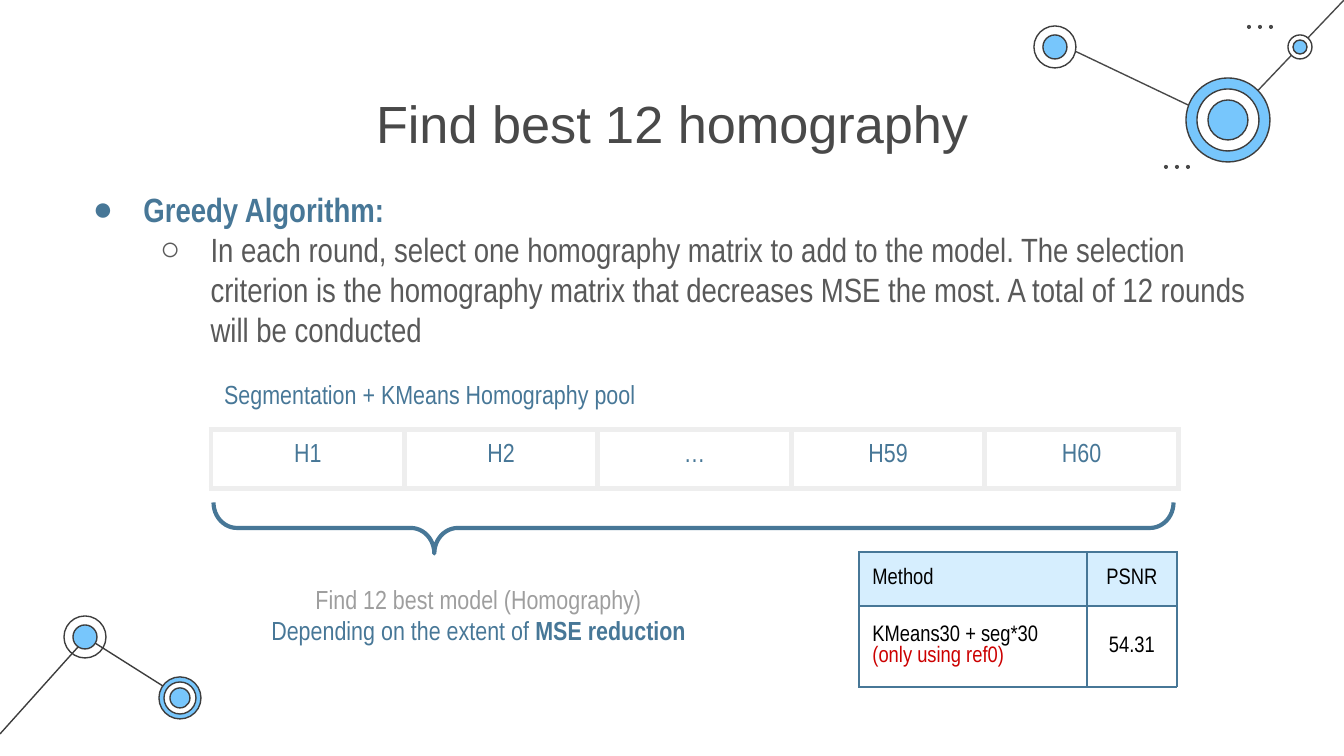
from lxml.etree import SubElement
from pptx import Presentation
from pptx.dml.color import RGBColor
from pptx.enum.shapes import MSO_CONNECTOR, MSO_SHAPE
from pptx.enum.text import MSO_ANCHOR, PP_ALIGN
from pptx.oxml import parse_xml
from pptx.oxml.ns import nsdecls, qn
from pptx.util import Pt

PX = 914400 / 134.4
PAD = round(13.44 * PX)
HUES = {
    "sky": "77C6FC", "white": "FFFFFF", "ink": "3D3D3D", "dark": "494949",
    "blue": "477797", "body": "595959", "gray": "9E9E9E", "pale": "D6EEFE",
    "edge": "EEEEEE", "black": "000000", "red": "CC0000",
}
RGB = {name: RGBColor.from_string(code) for name, code in HUES.items()}
LEFT, MID = PP_ALIGN.LEFT, PP_ALIGN.CENTER


def write(par, text, hue, size, align=LEFT, bold=False, face="Arial Narrow"):
    par.add_run().text = text
    par.alignment = align
    font = par.font
    font.name, font.size, font.bold = face, Pt(size), bold
    font.color.rgb = RGB[hue]


def grid(x, y, cols, rows, hue, width):
    """Add an unstyled table with padded cells and even borders."""
    frame = slide.shapes.add_table(
        len(rows), len(cols), *[round(n * PX) for n in (x, y, sum(cols), sum(rows))])
    table = frame.table
    table.first_row = table.horz_banding = False
    for col, size in zip(table.columns, cols):
        col.width = round(size * PX)
    for row, size in zip(table.rows, rows):
        row.height = round(size * PX)
    for cell in table.iter_cells():
        cell.margin_left = cell.margin_right = PAD
        cell.margin_top = cell.margin_bottom = PAD
        cell.fill.background()
        props = cell._tc.get_or_add_tcPr()
        for spot, side in enumerate(("lnL", "lnR", "lnT", "lnB")):
            props.insert(spot, parse_xml(
                f'<a:{side} {nsdecls("a")} w="{Pt(width)}"><a:solidFill>'
                f'<a:srgbClr val="{HUES[hue]}"/></a:solidFill></a:{side}>'))
    return table


deck = Presentation()
deck.slide_width, deck.slide_height = round(1344 * PX), round(756 * PX)
slide = deck.slides.add_slide(deck.slide_layouts[6])

# Network links
for hue, *ends in [
    ("ink", 87, 638, 185, 700), ("ink", 0, 734, 87, 637),
    ("dark", 1228, 124, 1058, 43), ("dark", 1344, 0, 1228, 122),
]:
    link = slide.shapes.add_connector(
        MSO_CONNECTOR.STRAIGHT, *[round(n * PX) for n in ends])
    link.line.color.rgb = RGB[hue]
    link.line.width = Pt(0.75)
    SubElement(link._element.spPr, qn("a:effectLst"))

# Network nodes, each a set of rings from the outside in, then the dots
discs = []
for x, y, rings in [
    (85, 637, [(21, None), (12, "sky")]),
    (180, 698, [(21, "sky"), (16, "white"), (10, "sky")]),
    (1228, 120, [(42, "sky"), (31, "white"), (20, "sky")]),
    (1055, 47, [(21, "white"), (12, "sky")]),
    (1300, 47, [(12, "white"), (7, "sky")]),
]:
    discs += [(x, y, r, hue, True) for r, hue in rings]
for x, y in [(1249, 27), (1166, 167)]:
    discs += [(x + 11 * i, y, 2, "dark", False) for i in range(3)]
for x, y, r, hue, ring in discs:
    disc = slide.shapes.add_shape(
        MSO_SHAPE.OVAL, *[round(n * PX) for n in (x - r, y - r, 2 * r, 2 * r)])
    disc.shadow.inherit = False
    if hue:
        disc.fill.solid()
        disc.fill.fore_color.rgb = RGB[hue]
    else:
        disc.fill.background()
    if ring:
        disc.line.color.rgb = RGB["ink"]
        disc.line.width = Pt(0.75)
    else:
        disc.line.fill.background()

# Text boxes
frames = []
for spot in [(106, 78, 1132, 85), (63, 175, 1206, 190),
             (211, 365, 556, 59), (211, 570, 535, 90)]:
    frame = slide.shapes.add_textbox(*[round(n * PX) for n in spot]).text_frame
    frame.word_wrap = True
    frame.margin_left = frame.margin_right = PAD
    frame.margin_top = frame.margin_bottom = PAD
    frames.append(frame)
title, body, pool, note = frames

write(title.paragraphs[0], "Find best 12 homography", "dark", 28, MID, face="Arial")
write(pool.paragraphs[0], "Segmentation + KMeans Homography pool", "blue", 14)

points = [
    ("●", "blue", True, "Greedy Algorithm:"),
    ("○", "body", False,
     "In each round, select one homography matrix to add to the model. "
     "The selection criterion is the homography matrix that decreases MSE "
     "the most. A total of 12 rounds will be conducted"),
]
for level, (mark, hue, bold, text) in enumerate(points):
    par = body.add_paragraph() if level else body.paragraphs[0]
    par.level = level
    props = par._p.get_or_add_pPr()
    props.set("marL", str(457200 * (level + 1)))
    props.set("indent", "-342900")
    tint = SubElement(props, qn("a:buClr"))
    SubElement(tint, qn("a:srgbClr"), val=HUES[hue])
    SubElement(props, qn("a:buFont"), typeface="Arial")
    SubElement(props, qn("a:buChar"), char=mark)
    write(par, text, hue, 18, bold=bold)

par = note.paragraphs[0]
write(par, "Find 12 best model (Homography)", "gray", 14, MID)
par.add_line_break()
for text, bold in [("Depending on the extent of ", False), ("MSE reduction", True)]:
    run = par.add_run()
    run.text = text
    run.font.bold = bold
    run.font.color.rgb = RGB["blue"]

# Homography pool
names = ["H1", "H2", "…", "H59", "H60"]
table = grid(211, 430, [193.5] * len(names), [57], "edge", 3)
for cell, name in zip(table.iter_cells(), names):
    write(cell.text_frame.paragraphs[0], name, "blue", 14, MID)

brace = slide.shapes.add_shape(
    MSO_SHAPE.LEFT_BRACE, *[round(n * PX) for n in (668, 48, 51, 960)])
brace.rotation = 270
brace.adjustments[0], brace.adjustments[1] = 0.46, 0.23
brace.shadow.inherit = False
brace.fill.background()
brace.line.color.rgb = RGB["blue"]
brace.line.width = Pt(2.25)

# Scores
table = grid(859, 552, [228, 90], [54, 81], "blue", 0.75)
scores = [
    [["Method"], ["PSNR"]],
    [["KMeans30 + seg*30", "(only using ref0)"], ["54.31"]],
]
for r, row in enumerate(scores):
    for c, lines in enumerate(row):
        cell = table.cell(r, c)
        cell.vertical_anchor = MSO_ANCHOR.MIDDLE
        if r == 0:
            cell.fill.solid()
            cell.fill.fore_color.rgb = RGB["pale"]
        for i, text in enumerate(lines):
            frame = cell.text_frame
            par = frame.add_paragraph() if i else frame.paragraphs[0]
            write(par, text, "red" if i else "black", 12, MID if c else LEFT)

deck.save("out.pptx")
